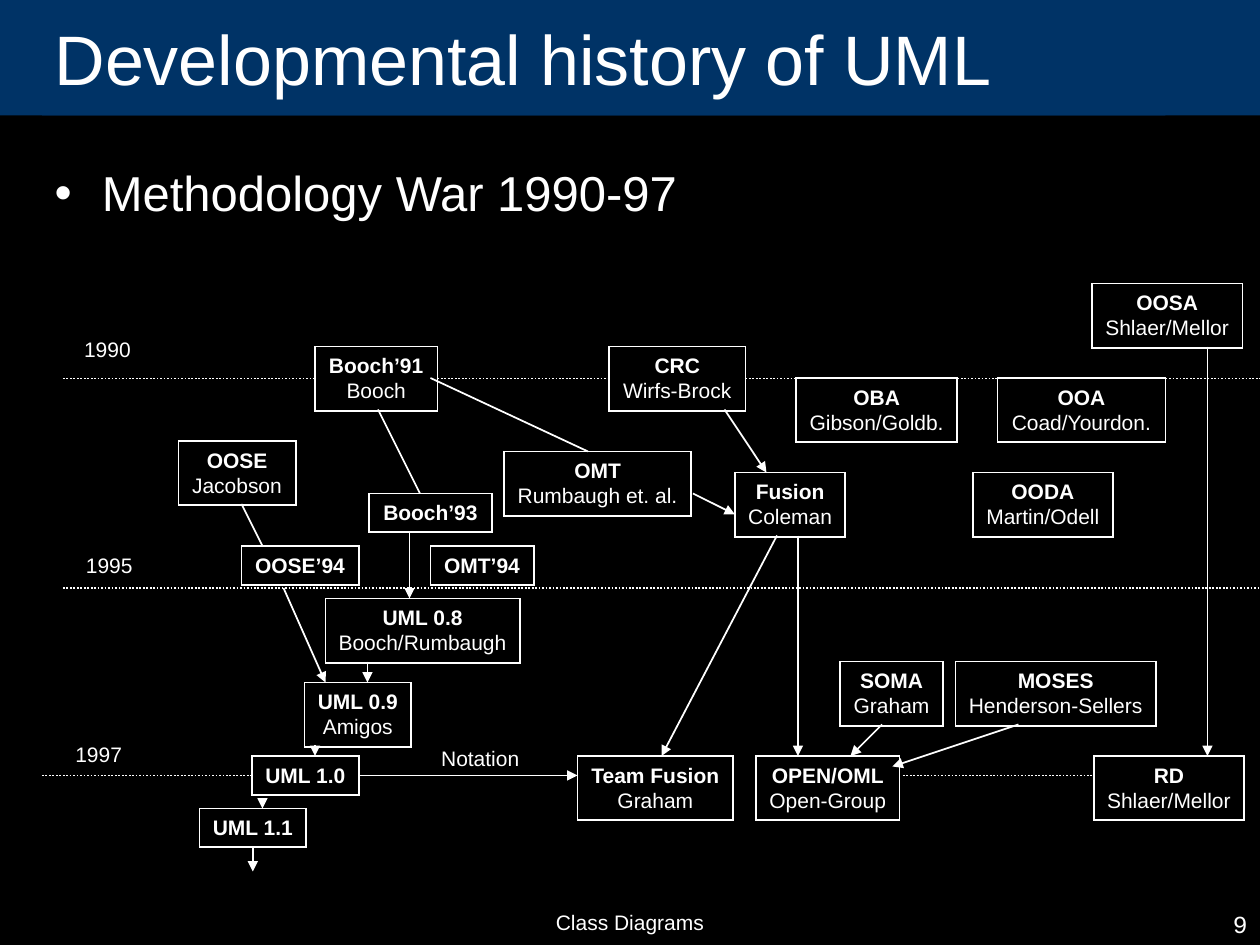
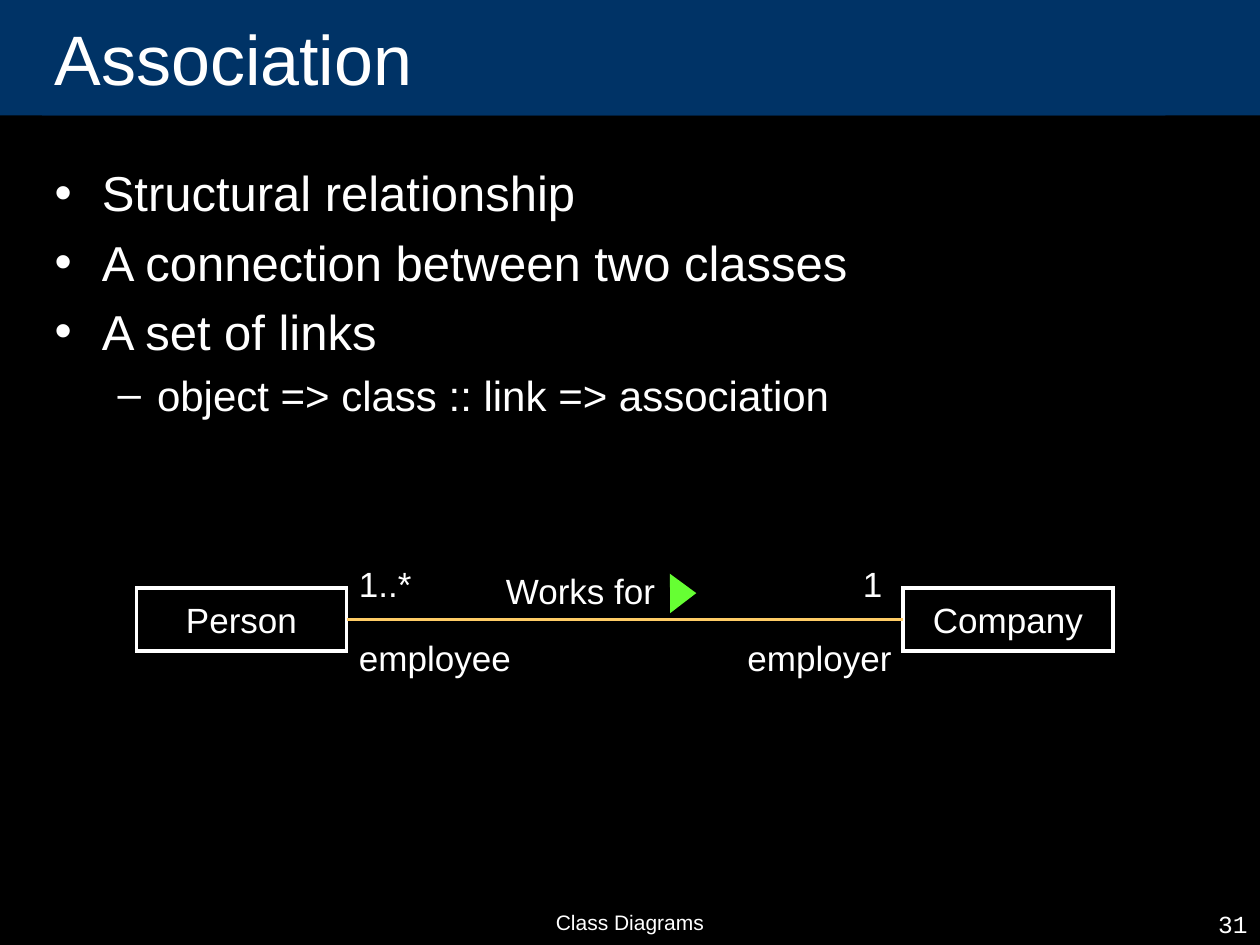
"""Builds two slides on UML: the history of its methods, and association."""
from lxml.etree import SubElement
from pptx import Presentation
from pptx.dml.color import RGBColor
from pptx.enum.dml import MSO_LINE
from pptx.enum.shapes import MSO_CONNECTOR, MSO_SHAPE
from pptx.enum.text import MSO_ANCHOR, MSO_AUTO_SIZE, PP_ALIGN
from pptx.oxml.ns import qn
from pptx.util import Pt

INK = {"back": "000000", "band": "003366", "text": "FFFFFF",
       "link": "FFCC66", "mark": "66FF33"}
TONE = {name: RGBColor.from_string(code) for name, code in INK.items()}
MARKS = [("•", 27, -27, 28, 6), ("–", 58.5, -22.5, 24, 5)]
TALL, LOW = 36.7, 22.2


def write(shape, text, size=12, font="Arial", align=PP_ALIGN.LEFT, heavy=0,
          anchor=MSO_ANCHOR.TOP, wrap=False, grow=False):
    frame = shape.text_frame
    frame.text = text
    frame.word_wrap = wrap
    frame.vertical_anchor = anchor
    frame.auto_size = MSO_AUTO_SIZE.SHAPE_TO_FIT_TEXT if grow else MSO_AUTO_SIZE.NONE
    for row, para in enumerate(frame.paragraphs):
        para.alignment = align
        for run in para.runs:
            run.font.size = Pt(size)
            run.font.name = font
            run.font.bold = row < heavy
            run.font.color.rgb = TONE["text"]


def link(shapes, ends, head=False, dots=False, tone="text", width=1,
         start=None, stop=None):
    line = shapes.add_connector(MSO_CONNECTOR.STRAIGHT, *map(Pt, ends))
    line.line.color.rgb = TONE[tone]
    line.line.width = Pt(width)
    if dots:
        line.line.dash_style = MSO_LINE.ROUND_DOT
    if head:
        SubElement(line.line._get_or_add_ln(), qn("a:tailEnd"), type="triangle")
    SubElement(line._element.spPr, qn("a:effectLst"))
    if start:
        line.begin_connect(*start)
    if stop:
        line.end_connect(*stop)


deck = Presentation()
deck.slide_width, deck.slide_height = Pt(720), Pt(540)
back = deck.slide_master.background.fill
back.solid()
back.fore_color.rgb = TONE["back"]

pages = [
    ("Developmental history of UML", "9", [("Methodology War 1990-97", 0)]),
    ("Association", "31", [
        ("Structural relationship", 0),
        ("A connection between two classes", 0),
        ("A set of links", 0),
        ("object => class :: link => association", 1)]),
]
slides = []
for head, count, items in pages:
    slide = deck.slides.add_slide(deck.slide_layouts[1])
    slides.append(slide)
    title, body = slide.placeholders
    band = slide.shapes.add_shape(MSO_SHAPE.RECTANGLE, 0, 0, Pt(720), Pt(66))
    band.shadow.inherit = False
    band.line.fill.background()
    title._element.addprevious(band._element)
    for part in (band, title):
        part.fill.solid()
        part.fill.fore_color.rgb = TONE["band"]
    title.left, title.top, title.width, title.height = Pt(24), 0, Pt(642), Pt(66)
    write(title, head, size=40, anchor=MSO_ANCHOR.MIDDLE, wrap=True)

    body.left, body.top, body.width, body.height = map(Pt, (24, 90, 678, 414))
    write(body, "\n".join(text for text, level in items), wrap=True)
    body.text_frame.margin_top = Pt(3)
    for row, (para, (text, level)) in enumerate(zip(body.text_frame.paragraphs, items)):
        mark, left, hang, size, gap = MARKS[level]
        para.level = level
        para.space_before = Pt(gap if row else 0)
        props = para._p.get_or_add_pPr()
        props.set("marL", str(Pt(left)))
        props.set("indent", str(Pt(hang)))
        SubElement(props, qn("a:buChar"), char=mark)
        para.runs[0].font.size = Pt(size)

    foot = slide.shapes.add_textbox(Pt(246), Pt(516), Pt(228), Pt(24))
    write(foot, "Class Diagrams", align=PP_ALIGN.CENTER, wrap=True)
    page = slide.shapes.add_textbox(Pt(570), Pt(516), Pt(150), Pt(24))
    write(page, count, size=14, font="Courier New", align=PP_ALIGN.RIGHT, wrap=True)

shapes = slides[0].shapes
group = slides[1].shapes.add_group_shape().shapes
methods = [
    ("Booch’91\nBooch", 180, 198, 70, TALL),
    ("CRC\nWirfs-Brock", 348, 198, 78, TALL),
    ("OOSA\nShlaer/Mellor", 624, 162, 86, TALL),
    ("OMT\nRumbaugh et. al.", 288, 258, 107, TALL),
    ("OOSE\nJacobson", 102, 252, 67, TALL),
    ("OMT’94", 246, 312, 59, LOW),
    ("Booch’93", 211, 282, 70, LOW),
    ("UML 0.8\nBooch/Rumbaugh", 186, 342, 111, TALL),
    ("UML 0.9\nAmigos", 174, 390, 61, TALL),
    ("UML 1.0", 144, 432, 61, LOW),
    ("UML 1.1", 114, 462, 61, LOW),
    ("OOSE’94", 138, 312, 67, LOW),
    ("OBA\nGibson/Goldb.", 455, 216, 92, TALL),
    ("OOA\nCoad/Yourdon.", 570, 216, 96, TALL),
    ("Fusion\nColeman", 420, 270, 63, TALL),
    ("OODA\nMartin/Odell", 556, 270, 80, TALL),
    ("SOMA\nGraham", 480, 378, 59, TALL),
    ("MOSES\nHenderson-Sellers", 546, 378, 114.5, TALL),
    ("Team Fusion\nGraham", 330, 432, 89, TALL),
    ("RD\nShlaer/Mellor", 625, 432, 86, TALL),
    ("OPEN/OML\nOpen-Group", 432, 432, 82, TALL),
]
classes = [("Person", 78, 336, 120, 36), ("Company", 516, 336, 120, 36)]
small = {"heavy": 1, "grow": True}
large = {"size": 20, "anchor": MSO_ANCHOR.MIDDLE}
boxes = {}
for home, rows, weight, form in [(shapes, methods, 1, small), (group, classes, 2, large)]:
    for text, *place in rows:
        box = home.add_shape(MSO_SHAPE.RECTANGLE, *map(Pt, place))
        box.shadow.inherit = False
        box.fill.background()
        box.line.color.rgb = TONE["text"]
        box.line.width = Pt(weight)
        SubElement(box.line._get_or_add_ln(), qn("a:miter"), lim="800000")
        write(box, text, align=PP_ALIGN.CENTER, **form)
        boxes[text.split("\n")[0]] = box

for ends in [(216, 234, 240, 282), (138, 288, 150, 312), (246, 216, 336, 258)]:
    link(shapes, ends)
arrows = [
    (234, 304, 234, 342), (162, 336, 186, 390), (180, 426, 180, 432),
    (150, 456, 150, 462), (210, 378, 210, 390), (396, 282, 420, 294),
    (444, 306, 378, 432), (456, 306, 456, 432), (690, 198, 690, 432),
    (414, 234, 438, 270), (504, 414, 486, 432), (582, 414, 510, 438),
]
for ends in arrows:
    link(shapes, ends, head=True)
link(shapes, (144.5, 484, 144.5, 498), head=True, start=(boxes["UML 1.1"], 2))

early, mid, late = 198 + TALL / 2, 336, 432 + LOW / 2
link(shapes, (205, late, 330, late), head=True, start=(boxes["UML 1.0"], 3))
link(shapes, (36, early, 180, early), dots=True, stop=(boxes["Booch’91"], 1))
link(shapes, (250, early, 348, early), dots=True,
     start=(boxes["Booch’91"], 3), stop=(boxes["CRC"], 1))
link(shapes, (426, early, 720, early), dots=True, start=(boxes["CRC"], 3))
link(shapes, (36, mid, 720, mid), dots=True)
link(shapes, (24, late, 144, late), dots=True, stop=(boxes["UML 1.0"], 1))
link(shapes, (516, late, 624, late), dots=True)

link(group, (198, 354, 516, 354), tone="link", width=2,
     start=(boxes["Person"], 3), stop=(boxes["Company"], 1))
arrow = group.add_shape(MSO_SHAPE.FLOWCHART_EXTRACT, Pt(381), Pt(333), Pt(18), Pt(12))
arrow.rotation = 89.5
arrow.shadow.inherit = False
arrow.fill.solid()
arrow.fill.fore_color.rgb = TONE["mark"]
arrow.line.color.rgb = TONE["mark"]
arrow.line.width = Pt(2.25)
SubElement(arrow.line._get_or_add_ln(), qn("a:miter"), lim="800000")

dates = [("Notation", 245, 422.5, 60), ("1990", 41, 189, 42),
         ("1995", 42, 312, 42), ("1997", 36, 420, 42)]
roles = [("Works for", 282, 322, 102), ("employee", 198, 360, 104),
         ("employer", 420, 360, 100), ("1..*", 198, 318, 46), ("1", 486, 318, 27)]
for home, rows, size, tall in [(shapes, dates, 12, 21.5), (group, roles, 20, 31)]:
    for text, left, top, width in rows:
        label = home.add_textbox(Pt(left), Pt(top), Pt(width), Pt(tall))
        write(label, text, size=size, grow=True)

deck.save("out.pptx")
